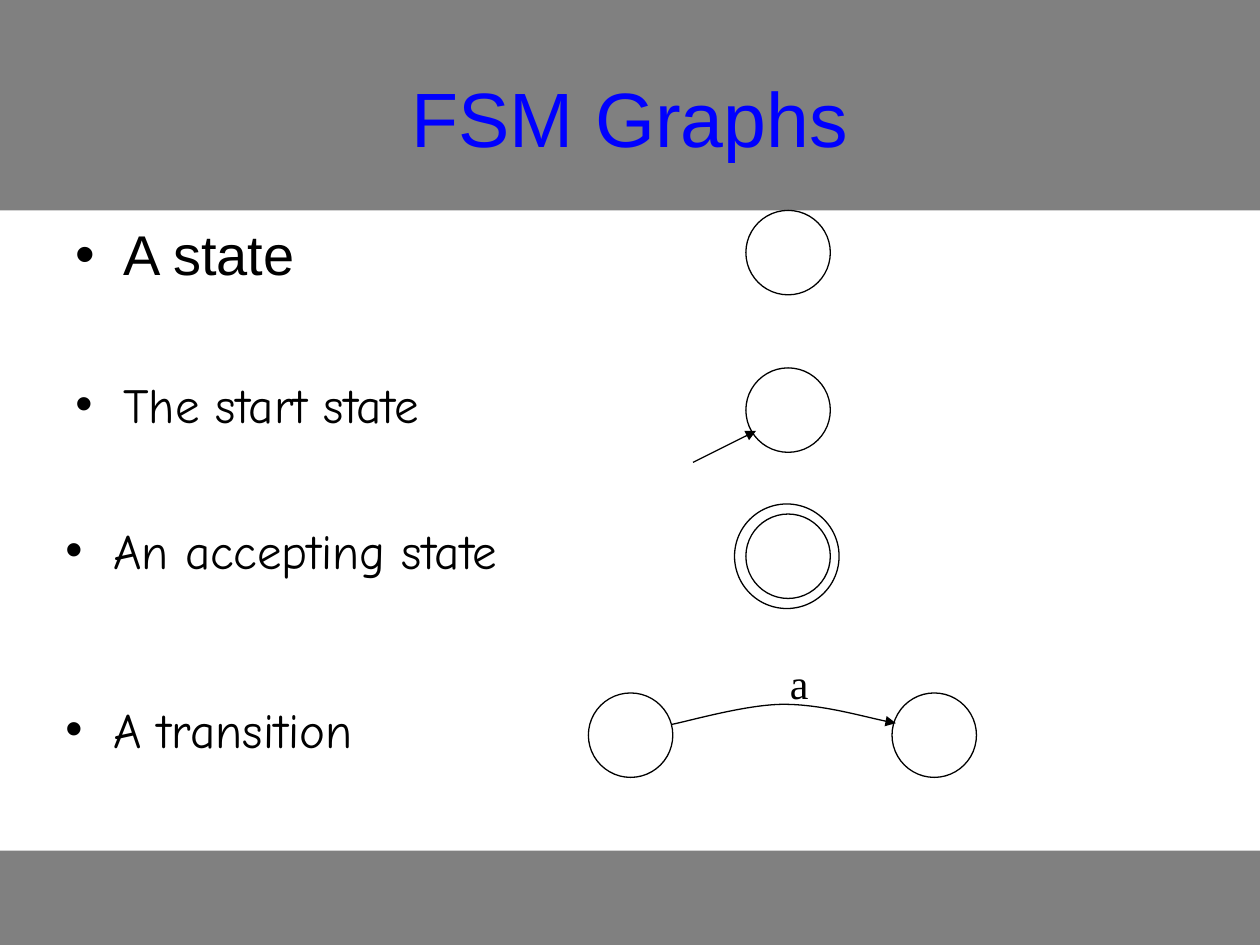
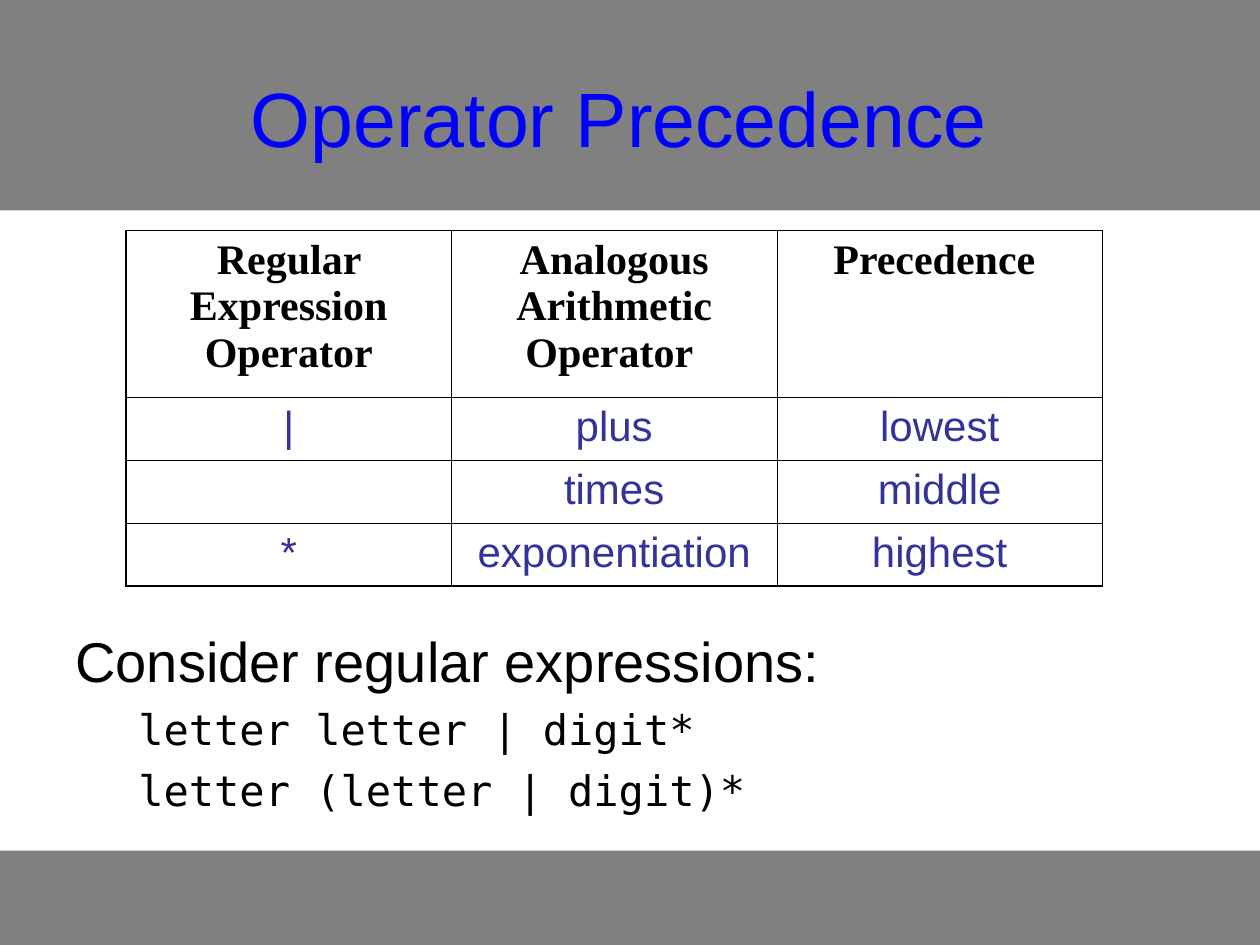
from dataclasses import dataclass

from lxml import etree
from pptx import Presentation
from pptx.dml.color import RGBColor
from pptx.enum.shapes import MSO_CONNECTOR, MSO_SHAPE
from pptx.enum.text import MSO_ANCHOR, PP_ALIGN
from pptx.oxml.ns import qn
from pptx.util import Inches, Pt

RECT, OVAL = MSO_SHAPE.RECTANGLE, MSO_SHAPE.OVAL
STRAIGHT = MSO_CONNECTOR.STRAIGHT
LEFT, CENTER = PP_ALIGN.LEFT, PP_ALIGN.CENTER
TOP, MIDDLE = MSO_ANCHOR.TOP, MSO_ANCHOR.MIDDLE

COLORS = {"black": "000000", "band": "808080", "title": "0000FF", "cell": "333399"}
SANS, HAND, MONO, SERIF = "Arial", "Comic Neue", "DejaVu Sans Mono", "Times New Roman"
THIN, THICK = 0.45, 1.08
STATE = 0.67


@dataclass(frozen=True)
class Box:
    left: float
    top: float
    width: float
    height: float

    def lengths(self) -> list:
        return [Inches(v) for v in (self.left, self.top, self.width, self.height)]


@dataclass(frozen=True)
class Item:
    text: str
    box: Box
    font: str = HAND
    size: int = 28
    pitch: float = 1.0


@dataclass(frozen=True)
class Ring:
    left: float
    top: float
    size: float = STATE


BANDS = [Box(0, 6.75, 10, 0.75), Box(0, 0, 10, 1.67)]
TITLE = Box(0.5, 0.3, 9, 1.25)
ITEMS = [
    Item("A state", Box(0.5, 1.75, 9, 0.6), SANS, 32, 0.9),
    Item("The start state", Box(0.5, 2.92, 9.08, 0.58)),
    Item("An accepting state", Box(0.42, 4.08, 9.08, 0.58)),
    Item("A transition", Box(0.42, 5.5, 9.08, 0.58)),
]
RINGS = [
    Ring(5.92, 1.67),
    Ring(5.92, 2.92),
    Ring(5.92, 4.08),
    Ring(5.83, 4, 0.83),
    Ring(4.67, 5.5),
    Ring(7.08, 5.5),
]
CURVE = [
    (5.33, 5.75),
    (5.48, 5.72), (5.93, 5.59), (6.22, 5.59),
    (6.52, 5.59), (6.93, 5.71), (7.11, 5.74),
]
ROWS = [
    ("Regular Expression Operator", "Analogous Arithmetic Operator ", "Precedence "),
    ("|", "plus", "lowest"),
    ("", "times", "middle"),
    ("*", "exponentiation", "highest"),
]
HEIGHTS = [1.32, 0.5, 0.5, 0.5]
CODE = ["letter letter | digit*", "letter (letter | digit)*"]


def paint(color: str) -> RGBColor:
    return RGBColor.from_string(COLORS[color])


def add_fill(node, color: str) -> None:
    fill = etree.SubElement(node, qn("a:solidFill"))
    etree.SubElement(fill, qn("a:srgbClr"), val=COLORS[color])


def write(par, text: str, *, font: str = SANS, size: int = 32, color: str = "black",
          bold: bool = False, align=LEFT, before: float = 0, pitch: float = 1.0,
          margin: float = 0, indent: float = 0, bullet: bool = False) -> None:
    props = par._p.get_or_add_pPr()
    props.set("marL", str(Inches(margin)))
    props.set("indent", str(Inches(indent)))
    if bullet:
        tint = etree.SubElement(props, qn("a:buClr"))
        etree.SubElement(tint, qn("a:srgbClr"), val=COLORS["black"])
        etree.SubElement(props, qn("a:buFont"), typeface=SANS)
        etree.SubElement(props, qn("a:buChar"), char="•")
    else:
        etree.SubElement(props, qn("a:buNone"))
    par.alignment = align
    par.space_before = Pt(before)
    par.line_spacing = pitch
    run = par.add_run()
    run.text = text
    run.font.name = font
    run.font.size = Pt(size)
    run.font.bold = bold
    run.font.color.rgb = paint(color)


def add_box(slide, box: Box, anchor=TOP, wrap: bool = True):
    frame = slide.shapes.add_textbox(*box.lengths()).text_frame
    frame.word_wrap = wrap
    frame.vertical_anchor = anchor
    return frame


def add_base(deck, title: str):
    slide = deck.slides.add_slide(deck.slide_layouts[6])
    for box in BANDS:
        band = slide.shapes.add_shape(RECT, *box.lengths())
        band.shadow.inherit = False
        band.fill.solid()
        band.fill.fore_color.rgb = paint("band")
        band.line.fill.background()
    frame = add_box(slide, TITLE, MIDDLE)
    write(frame.paragraphs[0], title, size=44, color="title", align=CENTER)
    return slide


def set_line(shape, arrow: bool = False) -> None:
    shape.line.color.rgb = paint("black")
    shape.line.width = Pt(0.75)
    if arrow:
        line = shape.element.spPr.find(qn("a:ln"))
        etree.SubElement(line, qn("a:tailEnd"), type="triangle")


def add_ring(slide, ring: Ring) -> None:
    box = Box(ring.left, ring.top, ring.size, ring.size)
    shape = slide.shapes.add_shape(OVAL, *box.lengths())
    shape.shadow.inherit = False
    shape.fill.background()
    set_line(shape)


def add_arrow(slide, start: tuple, end: tuple) -> None:
    arrow = slide.shapes.add_connector(STRAIGHT, *map(Inches, start + end))
    set_line(arrow, arrow=True)
    etree.SubElement(arrow.element.spPr, qn("a:effectLst"))


def add_curve(slide, points: list) -> None:
    first, *rest = [(Inches(x), Inches(y)) for x, y in points]
    pen = slide.shapes.build_freeform(*first)
    pen.add_line_segments(rest, close=False)
    shape = pen.convert_to_shape()
    shape.shadow.inherit = False
    shape.fill.background()
    steps = list(shape.element.iter(qn("a:lnTo")))
    for i in range(0, len(steps), 3):
        bend = etree.Element(qn("a:cubicBezTo"))
        steps[i].addprevious(bend)
        for step in steps[i:i + 3]:
            bend.append(step[0])
            step.getparent().remove(step)
    set_line(shape, arrow=True)


def add_edges(cell, widths: dict) -> None:
    props = cell._tc.get_or_add_tcPr()
    for i, (side, width) in enumerate(widths.items()):
        edge = etree.Element(qn(f"a:ln{side}"), w=str(Pt(width)))
        add_fill(edge, "black")
        props.insert(i, edge)


def add_grid(slide) -> None:
    box = Box(1, 1.83, 7.75, sum(HEIGHTS))
    grid = slide.shapes.add_table(len(ROWS), len(ROWS[0]), *box.lengths()).table
    grid.first_row = grid.horz_banding = False
    for col in grid.columns:
        col.width = Inches(box.width / len(ROWS[0]))
    for r, texts in enumerate(ROWS):
        grid.rows[r].height = Inches(HEIGHTS[r])
        style = ({"font": SERIF, "bold": True} if r == 0
                 else {"color": "cell"})
        for c, text in enumerate(texts):
            cell = grid.cell(r, c)
            cell.margin_left = cell.margin_right = Inches(0.1)
            cell.margin_top = cell.margin_bottom = Inches(0.05)
            cell.fill.background()
            if text:
                write(cell.text_frame.paragraphs[0], text, size=24, align=CENTER, **style)
            heavy = {
                "L": c == 0,
                "R": c == len(texts) - 1,
                "T": r == 0 and c != 1,
                "B": r == len(ROWS) - 1,
            }
            add_edges(cell, {k: THICK if v else THIN for k, v in heavy.items()})


def draw_graphs(deck) -> None:
    slide = add_base(deck, "FSM Graphs")
    for item in ITEMS:
        frame = add_box(slide, item.box)
        write(frame.paragraphs[0], item.text, font=item.font, size=item.size,
              pitch=item.pitch, margin=0.38, indent=-0.38, bullet=True)
    for ring in RINGS:
        add_ring(slide, ring)
    add_arrow(slide, (5.5, 3.67), (6, 3.42))
    add_curve(slide, CURVE)
    label = add_box(slide, Box(6.17, 5.17, 0.35, 0.5), wrap=False)
    write(label.paragraphs[0], "a", font=SERIF, size=24)


def draw_ranks(deck) -> None:
    slide = add_base(deck, "Operator Precedence ")
    frame = add_box(slide, Box(0.5, 4.92, 9.08, 1.67))
    write(frame.paragraphs[0], "Consider regular expressions:", margin=0.38, indent=-0.38)
    for line in CODE:
        write(frame.add_paragraph(), line, font=MONO, size=24, before=6,
              margin=0.81, indent=-0.31)
    add_grid(slide)


def main() -> None:
    deck = Presentation()
    deck.slide_width, deck.slide_height = Inches(10), Inches(7.5)
    draw_graphs(deck)
    draw_ranks(deck)
    deck.save("out.pptx")


if __name__ == "__main__":
    main()
